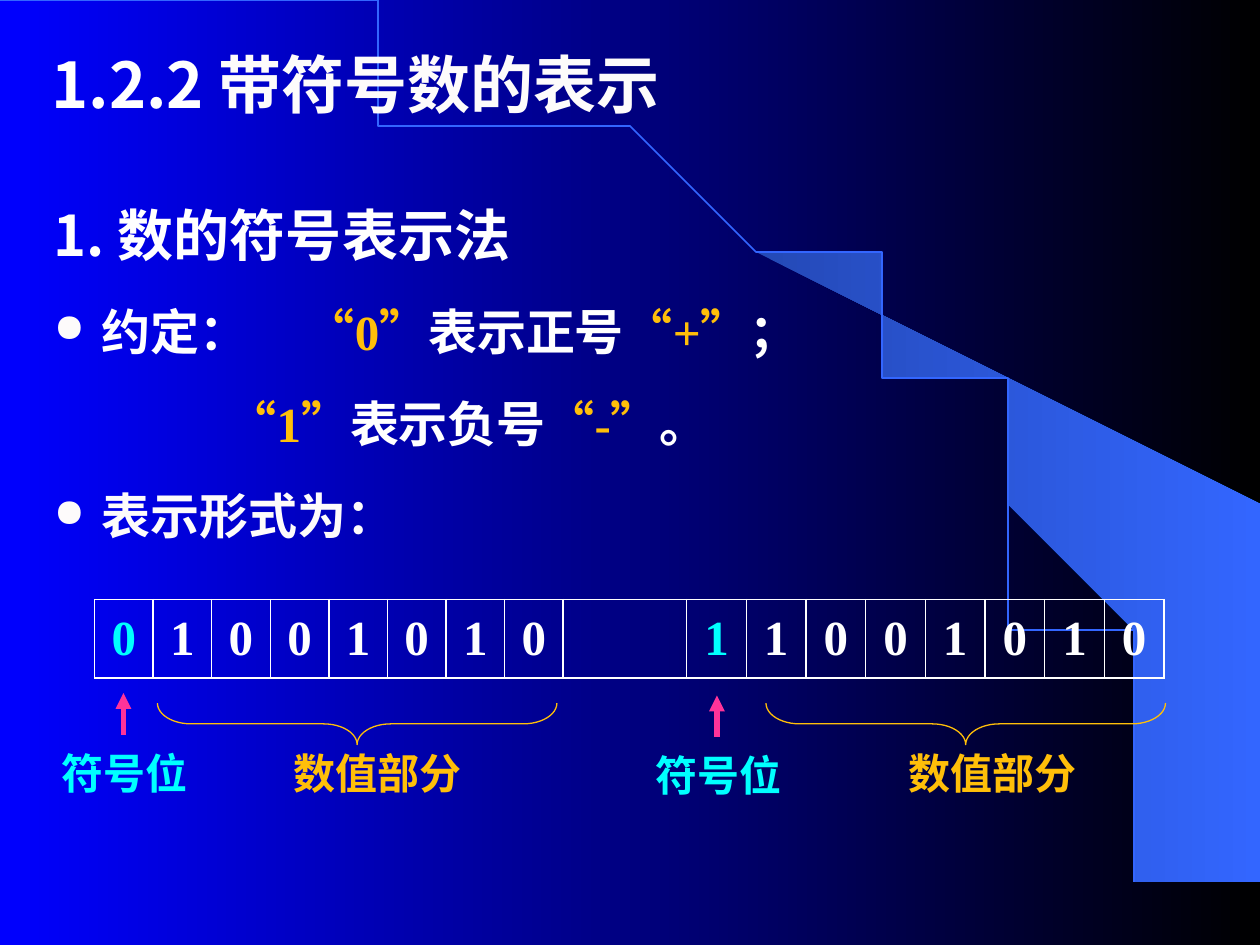
from dataclasses import dataclass

from pptx import Presentation
from pptx import util as u
from pptx.dml.color import RGBColor
from pptx.enum import lang, shapes, text
from pptx.oxml import ns, xmlchemy as xc

In = u.Inches
WHITE, SNOW, GOLD, CYAN = "FFFFFF", "FDFBFB", "FFBF09", "00FFFF"
BLUE, PINK = "3366FF", "FF3399"
SANS, SERIF = "Noto Sans CJK SC", "Times New Roman"


@dataclass
class Run:
    words: str
    hue: str = WHITE


@dataclass
class Para:
    runs: list[Run]
    size: int = 28
    face: str = SERIF
    dot: bool = False


@dataclass
class Label:
    words: str
    hue: str
    left: float
    top: float
    width: float


@dataclass
class Arrow:
    x: float
    low: float
    high: float


def rgb(hue: str) -> RGBColor:
    return RGBColor.from_string(hue)


def node(parent, tag: str, **attrs):
    item = xc.OxmlElement(tag)
    for key, val in attrs.items():
        item.set(key, str(val))
    parent.append(item)
    return item


def add_run(para, run: Run, size: int, face: str) -> None:
    part = para.add_run()
    part.text = run.words
    font = part.font
    font.size, font.bold, font.name = u.Pt(size), True, face
    font.color.rgb = rgb(run.hue)
    font.language_id = lang.MSO_LANGUAGE_ID.SIMPLIFIED_CHINESE
    node(font._element, "a:ea", typeface=SANS)


def shade(fill, first: str, last: str) -> None:
    fill.gradient()
    fill.gradient_angle = 0
    for stop, hue in zip(fill.gradient_stops, (first, last)):
        stop.color.rgb = rgb(hue)


def place(shape, left: float, top: float, width: float, height: float) -> None:
    shape.left, shape.top = In(left), In(top)
    shape.width, shape.height = In(width), In(height)


def add_path(slide, points: list, close: bool):
    pen = slide.shapes.build_freeform(*points[0], scale=In(1))
    pen.add_line_segments(points[1:], close=close)
    shape = pen.convert_to_shape()
    shape.shadow.inherit = False
    return shape


def draw_back(slide) -> None:
    shade(slide.background.fill, "0000FF", "000000")
    beam = add_path(slide, [
        (9.2, 7.48), (9.99, 7.49), (9.99, 4.23), (5.89, 1.73), (6.24, 1.99),
        (6.53, 2.22), (6.85, 2.5), (7.16, 2.8), (7.62, 3.3), (8.03, 3.84),
        (8.32, 4.31), (8.58, 4.79), (8.78, 5.28), (8.93, 5.72), (9.03, 6.09),
        (9.13, 6.56), (9.17, 6.96)], True)
    shade(beam.fill, "2449B6", BLUE)
    beam.line.fill.background()
    curve = []
    for step in range(61):
        t = step / 60
        s = 1 - t
        curve.append((3 * s * s * t * 5.08 + (3 * s * t * t + t ** 3) * 9.2,
                      3 * s * t * t * 3.35 + t ** 3 * 7.49))
    arc = add_path(slide, curve, False)
    arc.fill.background()
    arc.line.color.rgb = rgb(BLUE)
    arc.line.width = u.Pt(1)


def draw_title(slide) -> None:
    title = slide.shapes.title
    title.element.getparent().append(title.element)
    place(title, 0.31, 0.33, 8.5, 0.67)
    frame = title.text_frame
    frame.vertical_anchor = text.MSO_ANCHOR.MIDDLE
    para = frame.paragraphs[0]
    para.alignment = text.PP_ALIGN.LEFT
    for run in (Run("1.2.2"), Run(" 带符号数的表示", SNOW)):
        add_run(para, run, 36, SANS)


def draw_body(slide, paras: list[Para]) -> None:
    box = slide.shapes.add_textbox(In(0.33), In(1.33), In(8.5), In(3.17))
    frame = box.text_frame
    frame.word_wrap = True
    for num, item in enumerate(paras):
        para = frame.add_paragraph() if num else frame.paragraphs[0]
        para.line_spacing = 1.4
        para.space_before = u.Pt(5.6 if num else 0)
        props = para._p.get_or_add_pPr()
        props.set("marL", str(In(0.38)))
        props.set("indent", str(-In(0.38)))
        if item.dot:
            node(node(props, "a:buClr"), "a:srgbClr", val=SNOW)
            node(props, "a:buSzPct", val=80000)
            node(props, "a:buChar", char="●")
        else:
            node(props, "a:buNone")
        for run in item.runs:
            add_run(para, run, item.size, item.face)


def draw_bits(slide, bits: str) -> None:
    frame = slide.shapes.add_table(1, len(bits), In(0.75), In(4.76), In(8.49), In(0.62))
    table = frame.table
    table.first_row = table.horz_banding = False
    table.rows[0].height = In(0.62)
    gap = bits.index(" ")
    for num, bit in enumerate(bits):
        wide = 3.72 / 8 if num < gap else 3.79 / 8
        table.columns[num].width = In(0.98 if num == gap else wide)
        cell = table.cell(0, num)
        cell.margin_left = cell.margin_right = In(0.05)
        cell.vertical_anchor = text.MSO_ANCHOR.MIDDLE
        props = cell._tc.get_or_add_tcPr()
        for side in ("a:lnL", "a:lnR", "a:lnT", "a:lnB"):
            edge = node(props, side, w=u.Pt(1))
            node(node(edge, "a:solidFill"), "a:srgbClr", val=WHITE)
        cell.fill.background()
        if num != gap:
            para = cell.text_frame.paragraphs[0]
            para.alignment = text.PP_ALIGN.CENTER
            hue = CYAN if num in (0, gap + 1) else WHITE
            add_run(para, Run(bit, hue), 28, SERIF)


def draw_label(slide, item: Label) -> None:
    box = slide.shapes.add_textbox(In(item.left), In(item.top), In(item.width), In(0.61))
    frame = box.text_frame
    frame.word_wrap = True
    frame.margin_left = frame.margin_right = In(0.06)
    frame.margin_top = frame.margin_bottom = In(0.01)
    para = frame.paragraphs[0]
    para.alignment = text.PP_ALIGN.CENTER
    add_run(para, Run(item.words, item.hue), 24, SERIF)


def draw_brace(slide, left: float) -> None:
    brace = slide.shapes.add_shape(
        shapes.MSO_SHAPE.LEFT_BRACE, In(left), In(4.16), In(0.33), In(3.17))
    brace.rotation = 270
    brace.adjustments[0] = 0.81
    brace.shadow.inherit = False
    brace.fill.background()
    brace.line.color.rgb = rgb(GOLD)
    brace.line.width = u.Pt(0.75)


def draw_arrow(slide, item: Arrow) -> None:
    line = slide.shapes.add_connector(
        shapes.MSO_CONNECTOR.STRAIGHT, In(item.x), In(item.low), In(item.x), In(item.high))
    line.line.color.rgb = rgb(PINK)
    line.line.width = u.Pt(3)
    node(line.element.find(".//" + ns.qn("a:ln")), "a:tailEnd", type="triangle")
    node(line.element.spPr, "a:effectLst")


def main() -> None:
    deck = Presentation()
    deck.slide_width, deck.slide_height = In(10), In(7.5)
    slide = deck.slides.add_slide(deck.slide_layouts[5])
    draw_back(slide)
    draw_title(slide)
    draw_body(slide, [
        Para([Run("1. 数的符号表示法")], 32, SANS),
        Para([Run("约定：\t"), Run("“0”", GOLD), Run("表示正号"),
              Run("“+”", GOLD), Run("；")], dot=True),
        Para([Run("\t\t\t"), Run("“1”", GOLD), Run("表示负号"),
              Run("“-”", GOLD), Run("。")]),
        Para([Run("表示形式为：", SNOW)], dot=True)])
    draw_bits(slide, "01001010 11001010")
    for label in (Label("数值部分", GOLD, 6.92, 5.92, 1.92),
                  Label("数值部分", GOLD, 2.08, 5.92, 1.83),
                  Label("符号位", CYAN, 0.42, 5.92, 1.13),
                  Label("符号位", CYAN, 5.14, 5.94, 1.13)):
        draw_label(slide, label)
    for left in (2.67, 7.5):
        draw_brace(slide, left)
    for arrow in (Arrow(0.98, 5.83, 5.5), Arrow(5.69, 5.85, 5.52)):
        draw_arrow(slide, arrow)
    deck.save("out.pptx")


if __name__ == "__main__":
    main()
